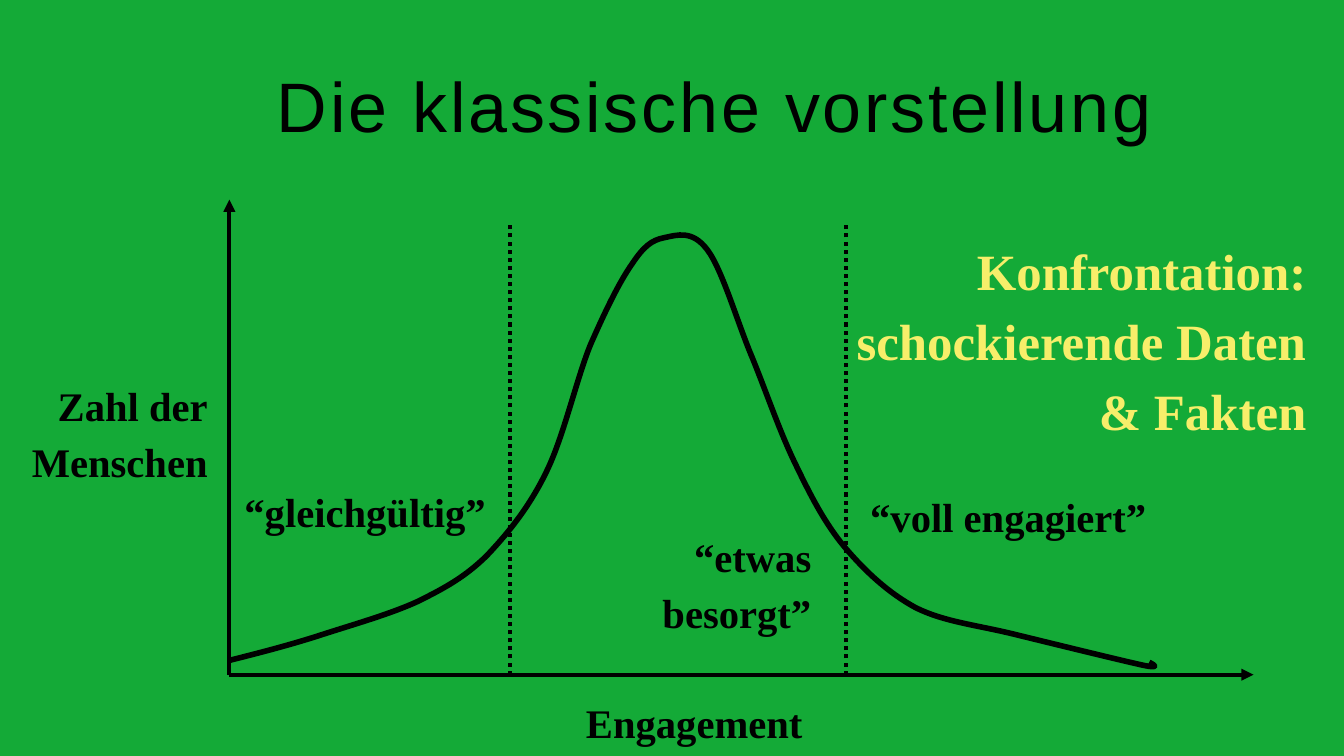
from dataclasses import dataclass

from lxml.etree import SubElement
from pptx import Presentation
from pptx.dml.color import RGBColor
from pptx.enum.dml import MSO_LINE_DASH_STYLE as Dash
from pptx.enum.shapes import MSO_CONNECTOR_TYPE as ConnectorType
from pptx.enum.text import MSO_ANCHOR as Anchor, MSO_AUTO_SIZE as AutoSize, PP_ALIGN as Align
from pptx.oxml.ns import qn
from pptx.slide import Slide
from pptx.util import Cm, Pt

GREEN, BLACK, YELLOW = "14AA37", "000000", "F7EE6A"
AXIS_X, AXIS_Y = 5.78, 17
DIVIDER_TOP = 5.65
CURVE_START = (579, 1664)
CURVE_SEGMENTS = [
    [(650, 1646), (721, 1628), (800, 1603)],
    [(879, 1577), (980, 1549), (1052, 1516)],
    [(1123, 1481), (1173, 1453), (1227, 1400)],
    [(1280, 1344), (1334, 1278), (1377, 1189)],
    [(1420, 1102), (1453, 955), (1488, 869)],
    [(1527, 780), (1562, 709), (1593, 665)],
    [(1623, 620), (1643, 605), (1674, 599)],
    [(1707, 592), (1745, 579), (1783, 630)],
    [(1821, 681), (1859, 815), (1897, 904)],
    [(1933, 993), (1966, 1090), (2004, 1168)],
    [(2042, 1247), (2078, 1318), (2129, 1379)],
    [(2179, 1438), (2238, 1494), (2309, 1532)],
    [(2380, 1567), (2461, 1575), (2555, 1598)],
    [(2649, 1621), (2812, 1661), (2870, 1674)],
    [(2926, 1687), (2911, 1676), (2896, 1669)],
]


@dataclass
class Label:
    text: str
    left: float
    top: float
    width: float
    height: float
    size: float = 29
    color: str = BLACK


@dataclass
class GraphLine:
    start: tuple[float, float]
    end: tuple[float, float]
    is_axis: bool


LABELS = [
    Label("Engagement", 12.22, 17.25, 8.31, 1.65),
    Label("Zahl der\vMenschen", 0.18, 9.27, 5.36, 3.07),
    Label("“gleichgültig”", 4.9, 11.94, 7.65, 1.73),
    Label("“voll engagiert”", 21.5, 12.07, 7.7, 1.65),
    Label("“etwas besorgt”", 13.38, 13.08, 7.37, 3.07),
    Label("Konfrontation: schockierende Daten & Fakten", 21.16, 5.66, 12.07, 5.59, 36.3, YELLOW),
]
GRAPH_LINES = [
    GraphLine((AXIS_X, AXIS_Y), (AXIS_X, 5.03), True),
    GraphLine((AXIS_X, AXIS_Y), (31.59, AXIS_Y), True),
    *(GraphLine((x, AXIS_Y), (x, DIVIDER_TOP), False) for x in (12.85, 21.31)),
]


def rgb(color: str) -> RGBColor:
    return RGBColor.from_string(color)


def draw_title(slide: Slide) -> None:
    title = slide.shapes.title
    title.left, title.top, title.width, title.height = Cm(6.72), Cm(1.45), Cm(23.93), Cm(2.39)
    frame = title.text_frame
    frame.text = "Die klassische vorstellung"
    frame.auto_size = AutoSize.NONE
    frame.vertical_anchor = Anchor.TOP
    paragraph = frame.paragraphs[0]
    paragraph.alignment = Align.LEFT
    paragraph.font.name = "Arial"
    paragraph.font.size = Pt(50)
    paragraph.font.color.rgb = rgb(BLACK)
    paragraph.runs[0].font._element.set("spc", "200")


def draw_curve(slide: Slide) -> None:
    builder = slide.shapes.build_freeform(*CURVE_START, scale=Cm(0.01))
    for segment in CURVE_SEGMENTS:
        builder.add_line_segments(segment, close=False)
    curve = builder.convert_to_shape()
    curve.shadow.inherit = False
    curve.fill.background()
    curve.line.color.rgb = rgb(BLACK)
    curve.line.width = Pt(4)
    path = next(curve._element.iter(qn("a:path")))
    lines = path.findall(qn("a:lnTo"))
    for first in range(0, len(lines), 3):
        bezier = SubElement(path, qn("a:cubicBezTo"))
        for line in lines[first:first + 3]:
            bezier.append(line[0])
            path.remove(line)


def draw_line(slide: Slide, item: GraphLine) -> None:
    points = [Cm(value) for value in (*item.start, *item.end)]
    connector = slide.shapes.add_connector(ConnectorType.STRAIGHT, *points)
    connector.line.color.rgb = rgb(BLACK)
    connector.line.width = Pt(2.89)
    if item.is_axis:
        SubElement(connector.line._get_or_add_ln(), qn("a:tailEnd"), type="triangle")
    else:
        connector.line.dash_style = Dash.ROUND_DOT
    SubElement(connector._element.spPr, qn("a:effectLst"))


def draw_label(slide: Slide, label: Label) -> None:
    box = slide.shapes.add_textbox(Cm(label.left), Cm(label.top), Cm(label.width), Cm(label.height))
    frame = box.text_frame
    frame.word_wrap = True
    frame.auto_size = AutoSize.SHAPE_TO_FIT_TEXT
    frame.margin_left = frame.margin_right = Cm(0.3)
    frame.margin_top = frame.margin_bottom = Cm(0.15)
    frame.text = label.text
    paragraph = frame.paragraphs[0]
    paragraph.alignment = Align.RIGHT
    paragraph.line_spacing = 1.15
    paragraph.space_after = Pt(8.7)
    paragraph.font.name = "Times New Roman"
    paragraph.font.size = Pt(label.size)
    paragraph.font.bold = True
    paragraph.font.color.rgb = rgb(label.color)


def main() -> None:
    presentation = Presentation()
    presentation.slide_width, presentation.slide_height = Cm(33.87), Cm(19.05)
    slide = presentation.slides.add_slide(presentation.slide_layouts[5])
    slide.background.fill.solid()
    slide.background.fill.fore_color.rgb = rgb(GREEN)
    draw_title(slide)
    draw_curve(slide)
    for item in GRAPH_LINES:
        draw_line(slide, item)
    for label in LABELS:
        draw_label(slide, label)
    presentation.save("out.pptx")


if __name__ == "__main__":
    main()
